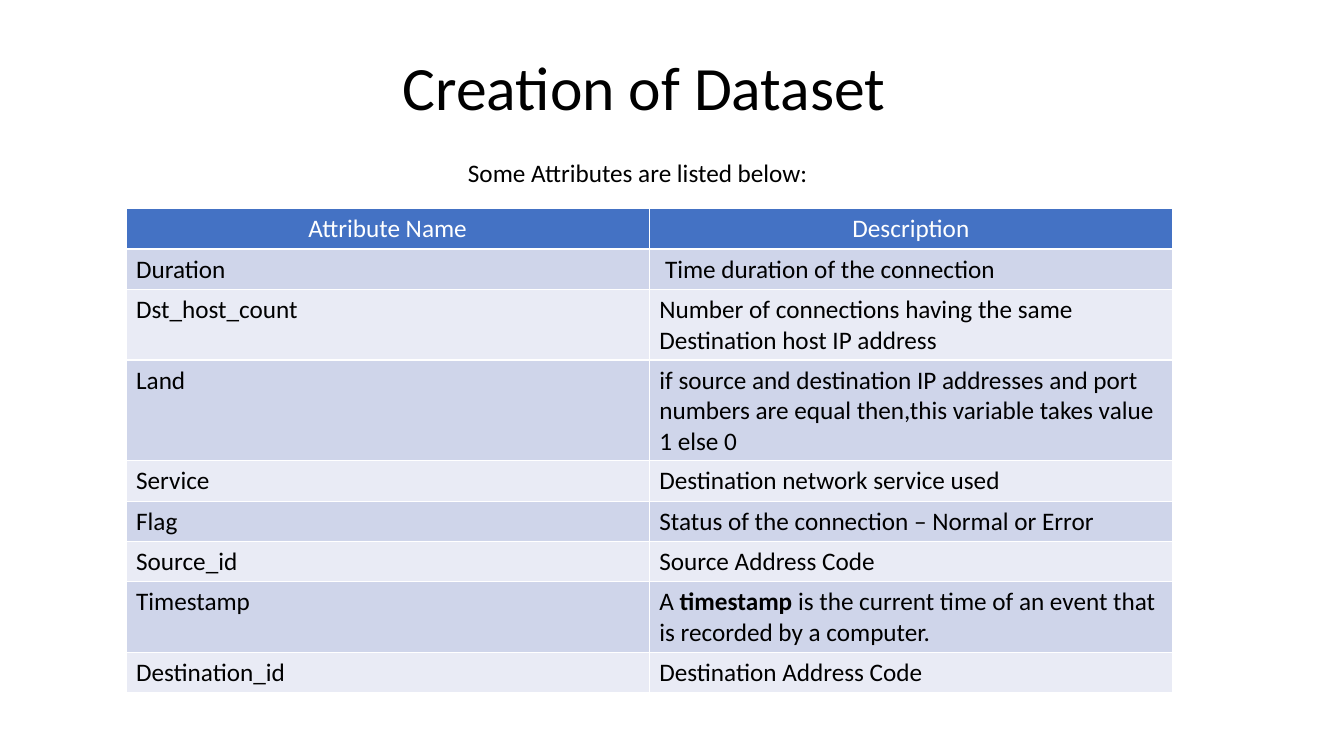
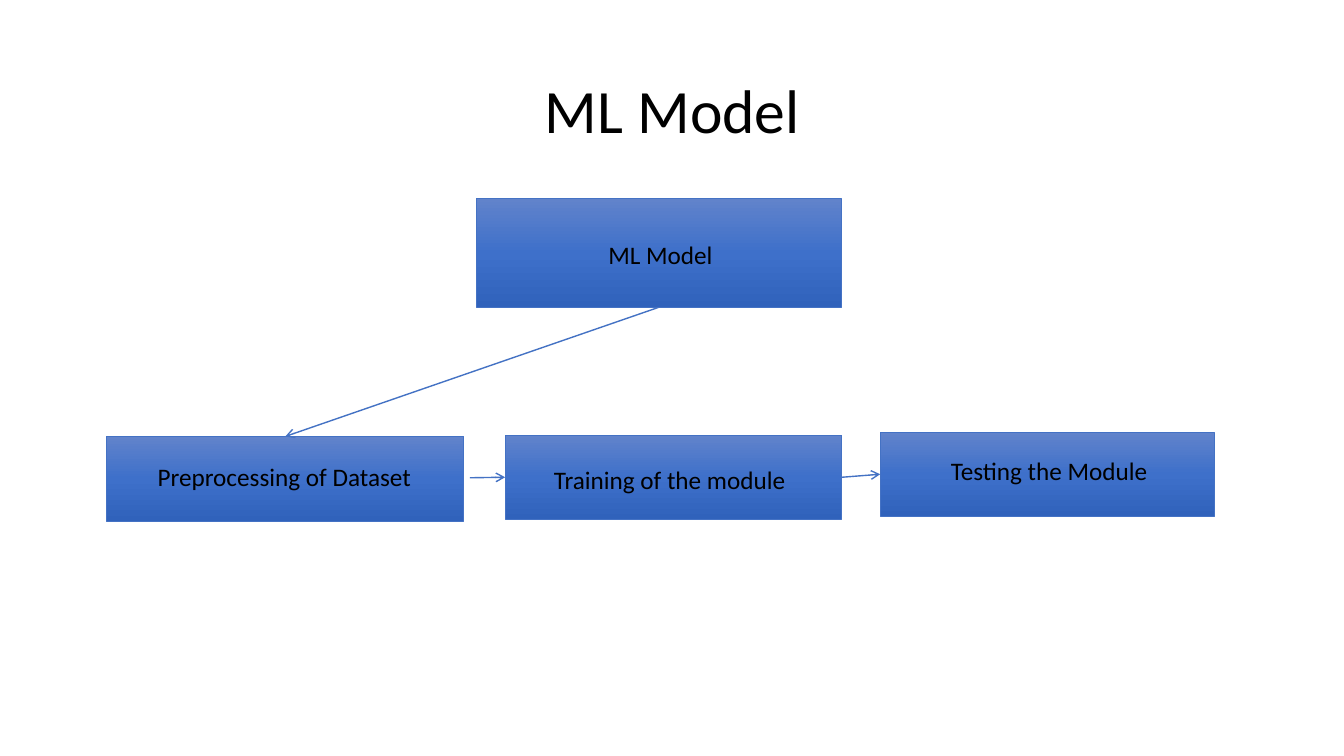
import copy
from dataclasses import dataclass

import lxml.etree
import pptx
import pptx.dml.color
import pptx.enum.shapes
import pptx.enum.text
import pptx.oxml
import pptx.oxml.ns
import pptx.util

PX = 9144
MIDDLE = pptx.enum.text.MSO_ANCHOR.MIDDLE
TOP_ANCHOR = pptx.enum.text.MSO_ANCHOR.TOP
CENTER = pptx.enum.text.PP_ALIGN.CENTER
LEFT = pptx.enum.text.PP_ALIGN.LEFT
TOP_SIDE, LEFT_SIDE, BOTTOM_SIDE, RIGHT_SIDE = range(4)


@dataclass(frozen=True)
class Theme:
    font: str = "Calibri"
    title_size: int = 44
    body_size: int = 18
    text: str = "000000"
    white: str = "FFFFFF"
    accent: str = "4472C4"
    bands: tuple = ("CFD5EA", "E9EBF5")
    gradient: tuple = ((0, "6183CB"), (0.5, "3E70CA"), (1, "3062BB"))
    box_line: float = 0.5
    line: float = 1


THEME = Theme()

SLIDE_SIZE = (1333, 750)

DATASET_TITLE = ("Creation of Dataset ", (96, 37, 1100, 105))
DATASET_INTRO = ("Some Attributes are listed below:", (408, 151, 449, 41))
TABLE_ORIGIN = (125, 207)
COLUMN_WIDTH = 519
HEADER = ("Attribute Name", "Description")
ATTRIBUTES = [
    ("Duration", [" Time duration of the connection"], 1),
    ("Dst_host_count", ["Number of connections having the same", "Destination host IP address"], 2),
    ("Land", ["if source and destination IP addresses and port numbers are equal then,"
              "this variable takes value 1 else 0"], 3),
    ("Service", ["Destination network service used"], 1),
    ("Flag", ["Status of the connection – Normal or Error"], 1),
    ("Source_id", ["Source Address Code"], 1),
    ("Timestamp", [("A ", "timestamp", " is the current time of an event that is recorded by a computer.")], 2),
    ("Destination_id", ["Destination Address Code"], 1),
]

MODEL_TITLE = ("ML Model", (92, 40, 1150, 145))
BOXES = {
    "model": ("ML Model", (472, 197, 362, 108), (2, 1)),
    "preprocessing": ("Preprocessing of Dataset", (106, 433, 354, 84), (-1, -2)),
    "training": ("Training of the module ", (501, 432, 334, 83), (-1, 2)),
    "testing": ("Testing the Module", (873, 429, 331, 83), (2, -4)),
}
ARROWS = [
    (("model", BOTTOM_SIDE), ("preprocessing", TOP_SIDE)),
    ((466, 474), ("training", LEFT_SIDE)),
    (("training", RIGHT_SIDE), ("testing", LEFT_SIDE)),
]


def px(*lengths):
    return [pptx.util.Emu(length * PX) for length in lengths]


def rgb(value):
    return pptx.dml.color.RGBColor.from_string(value)


def style(paragraph, size=THEME.body_size, color=THEME.text, alignment=CENTER):
    paragraph.alignment = alignment
    paragraph.font.name = THEME.font
    paragraph.font.size = pptx.util.Pt(size)
    paragraph.font.color.rgb = rgb(color)


def add_text(slide, text, bounds, size=THEME.body_size, anchor=TOP_ANCHOR):
    frame = slide.shapes.add_textbox(*px(*bounds)).text_frame
    frame.word_wrap = True
    frame.vertical_anchor = anchor
    paragraph = frame.paragraphs[0]
    paragraph.text = text
    style(paragraph, size)
    return paragraph


def add_slide(presentation, title, bounds):
    slide = presentation.slides.add_slide(presentation.slide_layouts[6])
    add_text(slide, title, bounds, THEME.title_size, MIDDLE).line_spacing = 0.9
    return slide


def add_borders(cell):
    properties = cell._tc.get_or_add_tcPr()
    for index, side in enumerate("LRTB"):
        border = pptx.oxml.parse_xml(
            f'<a:ln{side} {pptx.oxml.ns.nsdecls("a")} w="{pptx.util.Pt(THEME.line)}">'
            f'<a:solidFill><a:srgbClr val="{THEME.white}"/></a:solidFill></a:ln{side}>')
        properties.insert(index, border)


def fill_cell(cell, paragraphs, fill, color, alignment):
    cell.fill.solid()
    cell.fill.fore_color.rgb = rgb(fill)
    add_borders(cell)
    frame = cell.text_frame
    for index, content in enumerate(paragraphs):
        paragraph = frame.add_paragraph() if index else frame.paragraphs[0]
        style(paragraph, color=color, alignment=alignment)
        parts = (content,) if isinstance(content, str) else content
        for position, part in enumerate(parts):
            run = paragraph.add_run()
            run.text = part
            run.font.bold = position % 2 == 1


def add_attribute_table(slide):
    rows = [([HEADER[0]], [HEADER[1]], 1)]
    rows += [([name], description, lines) for name, description, lines in ATTRIBUTES]
    heights = [10 + 30 * lines for *_, lines in rows]
    frame = slide.shapes.add_table(
        len(rows), len(HEADER), *px(*TABLE_ORIGIN, COLUMN_WIDTH * len(HEADER), sum(heights)))
    table = frame.table
    table.horz_banding = False
    for column in table.columns:
        column.width = px(COLUMN_WIDTH)[0]
    for index, (*contents, _) in enumerate(rows):
        table.rows[index].height = px(heights[index])[0]
        if index:
            look = (THEME.bands[(index - 1) % 2], THEME.text, LEFT)
        else:
            look = (THEME.accent, THEME.white, CENTER)
        for cell, paragraphs in zip(table.rows[index].cells, contents):
            fill_cell(cell, paragraphs, *look)


def fill_gradient(fill):
    fill.gradient()
    fill.gradient_angle = 270
    stop_list = fill.gradient_stops[0]._gs.getparent()
    stop_list.append(copy.deepcopy(stop_list[-1]))
    for stop, (position, color) in zip(fill.gradient_stops, THEME.gradient):
        stop.position = position
        stop.color.rgb = rgb(color)


def add_box(slide, label, bounds, shift):
    box = slide.shapes.add_shape(pptx.enum.shapes.MSO_SHAPE.RECTANGLE, *px(*bounds))
    box.shadow.inherit = False
    fill_gradient(box.fill)
    box.line.color.rgb = rgb(THEME.accent)
    box.line.width = pptx.util.Pt(THEME.box_line)
    frame = box.text_frame
    frame.word_wrap = True
    frame.vertical_anchor = MIDDLE
    right, down = shift
    frame.margin_left, frame.margin_right = px(10 + right, 10 - right)
    frame.margin_top, frame.margin_bottom = px(5 + down, 5 - down)
    frame.text = label
    style(frame.paragraphs[0])
    return box


def add_arrow(slide, boxes, start, end):
    origin = (0, 0) if start[0] in boxes else start
    arrow = slide.shapes.add_connector(
        pptx.enum.shapes.MSO_CONNECTOR.STRAIGHT, *px(*origin, 0, 0))
    if start[0] in boxes:
        arrow.begin_connect(boxes[start[0]], start[1])
    arrow.end_connect(boxes[end[0]], end[1])
    arrow.line.color.rgb = rgb(THEME.accent)
    arrow.line.width = pptx.util.Pt(THEME.line)
    tail = lxml.etree.SubElement(arrow.line._get_or_add_ln(), pptx.oxml.ns.qn("a:tailEnd"))
    tail.set("type", "arrow")
    lxml.etree.SubElement(arrow._element.spPr, pptx.oxml.ns.qn("a:effectLst"))


def main():
    presentation = pptx.Presentation()
    presentation.slide_width, presentation.slide_height = px(*SLIDE_SIZE)

    dataset_slide = add_slide(presentation, *DATASET_TITLE)
    add_attribute_table(dataset_slide)
    add_text(dataset_slide, *DATASET_INTRO)

    model_slide = add_slide(presentation, *MODEL_TITLE)
    boxes = {name: add_box(model_slide, *box) for name, box in BOXES.items()}
    for start, end in ARROWS:
        add_arrow(model_slide, boxes, start, end)

    presentation.save("out.pptx")


if __name__ == "__main__":
    main()
